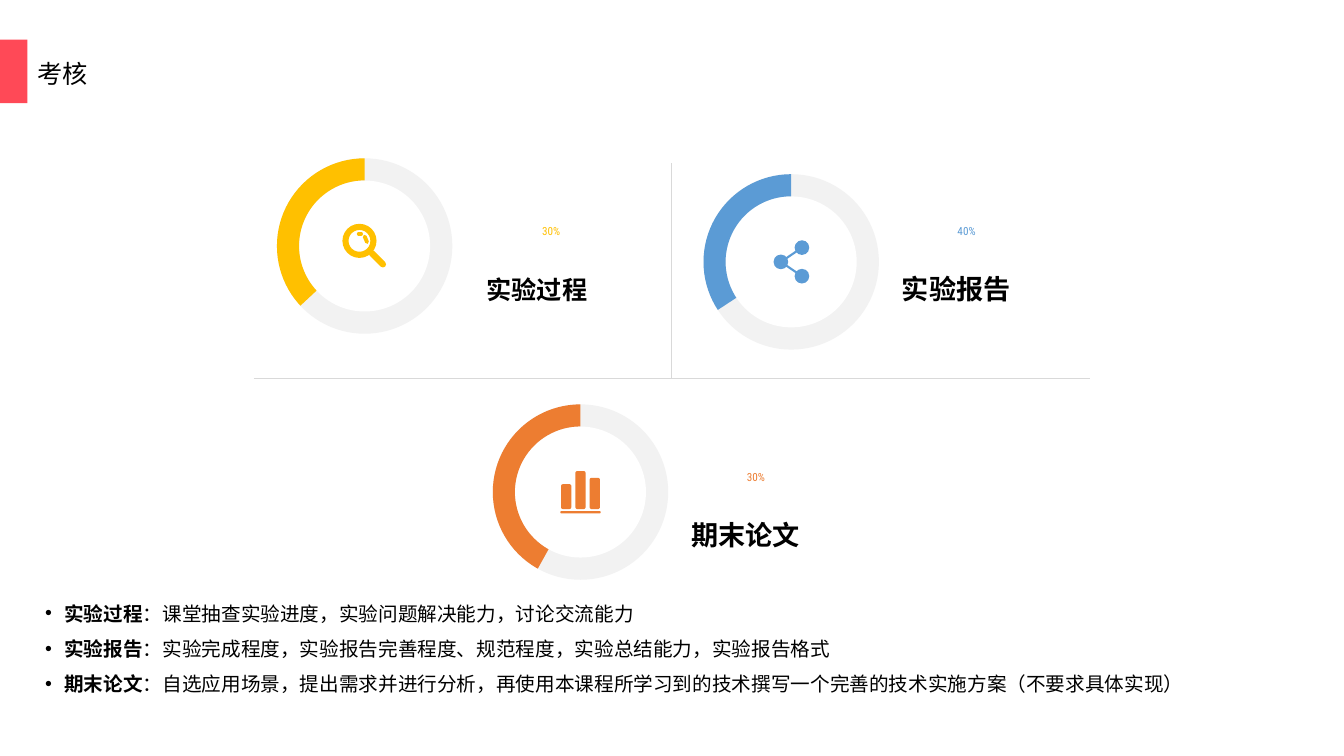
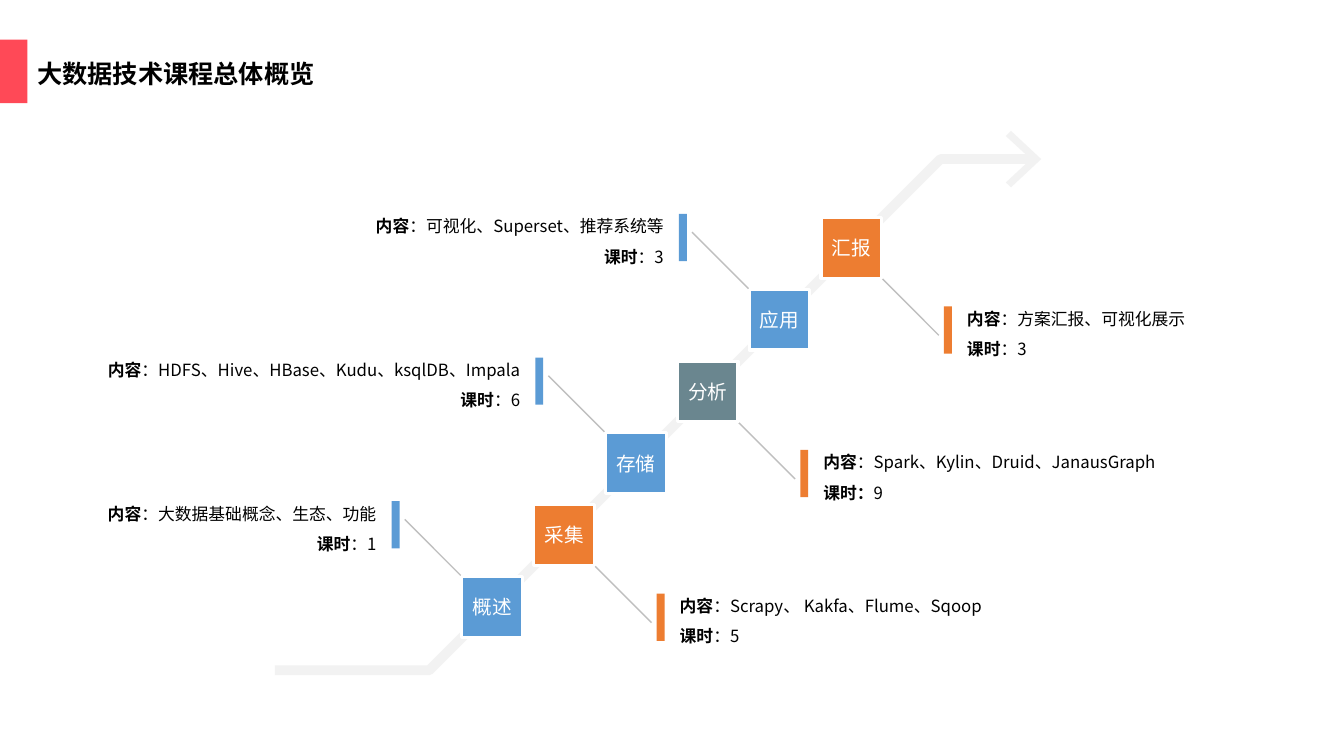
import pptx
import pptx.dml.color
import pptx.enum.shapes
import pptx.enum.text
import pptx.oxml.ns
import pptx.oxml.xmlchemy
import pptx.util

Cm = pptx.util.Cm
Pt = pptx.util.Pt
SHAPE = pptx.enum.shapes.MSO_SHAPE
ALIGN = pptx.enum.text.PP_ALIGN
ANCHOR = pptx.enum.text.MSO_ANCHOR
qn = pptx.oxml.ns.qn

COLOURS = {
    "accent": "FF4957", "text": "000000", "white": "FFFFFF", "track": "F2F2F2",
    "divider": "D9D9D9", "leader": "BFBFBF", "yellow": "FFC000",
    "blue": "5B9BD5", "orange": "ED7D31", "teal": "6A868F",
}
CJK_FONT = "Noto Sans CJK SC"
NUMBER_FONT = "Roboto Condensed"

RING, HOLE = 4.42, 3.3
SQUARE, STEP = 1.53, 1.81


def rgb(name):
    return pptx.dml.color.RGBColor.from_string(COLOURS[name])


def drawing_element(tag, **attributes):
    element = pptx.oxml.xmlchemy.OxmlElement(tag)
    for key, value in attributes.items():
        element.set(key, value)
    return element


def write(shape, paras, size, colour="text", bold=False, font=CJK_FONT, align=ALIGN.LEFT,
          anchor=ANCHOR.TOP, spacing=None, bullet=False, margins=(0.25, 0.13)):
    """Fill a shape with paragraphs; a (lead, rest) pair sets the lead in bold."""
    frame = shape.text_frame
    frame.word_wrap = True
    frame.auto_size = pptx.enum.text.MSO_AUTO_SIZE.NONE
    frame.vertical_anchor = anchor
    frame.margin_left = frame.margin_right = Cm(margins[0])
    frame.margin_top = frame.margin_bottom = Cm(margins[1])
    for index, content in enumerate(paras):
        para = frame.add_paragraph() if index else frame.paragraphs[0]
        para.alignment = align
        if spacing:
            para.line_spacing = spacing
        if bullet:
            properties = para._p.get_or_add_pPr()
            properties.set("marL", str(Cm(0.48)))
            properties.set("indent", str(-Cm(0.48)))
            properties.append(drawing_element("a:buFont", typeface="Arial"))
            properties.append(drawing_element("a:buChar", char="•"))
        parts = [(content, bold)] if isinstance(content, str) else zip(content, (True, False))
        for words, heavy in parts:
            span = para.add_run()
            span.text = words
            span.font.size = Pt(size)
            span.font.bold = heavy
            span.font.color.rgb = rgb(colour)
            span.font.name = font
            span._r.get_or_add_rPr().append(drawing_element("a:ea", typeface=font))


def add_text(page, left, top, width, height, paras, **style):
    box = page.shapes.add_textbox(Cm(left), Cm(top), Cm(width), Cm(height))
    write(box, paras, **style)


def paint(shape, fill=None, line=None, weight=1):
    shape.shadow.inherit = False
    if fill:
        shape.fill.solid()
        shape.fill.fore_color.rgb = rgb(fill)
    else:
        shape.fill.background()
    if line:
        shape.line.color.rgb = rgb(line)
        shape.line.width = Pt(weight)
    else:
        shape.line.fill.background()


def add_preset(page, kind, left, top, width, height, fill, **outline):
    shape = page.shapes.add_shape(kind, Cm(left), Cm(top), Cm(width), Cm(height))
    paint(shape, fill, **outline)
    return shape


def add_line(page, start, end, colour, weight=1, round_cap=False):
    line = page.shapes.add_connector(
        pptx.enum.shapes.MSO_CONNECTOR.STRAIGHT, *(Cm(value) for value in (*start, *end)))
    line.line.color.rgb = rgb(colour)
    line.line.width = Pt(weight)
    properties = line._element.spPr
    if round_cap:
        properties.find(qn("a:ln")).set("cap", "rnd")
    properties.append(drawing_element("a:effectLst"))


def add_outline(page, left, top, points, close, **style):
    corners = [(Cm(left + x), Cm(top + y)) for x, y in points]
    builder = page.shapes.build_freeform(*corners[0], scale=1.0)
    builder.add_line_segments(corners[1:], close=close)
    paint(builder.convert_to_shape(), **style)


def add_page(deck, title, bold):
    page = deck.slides.add_slide(deck.slide_layouts[5])
    add_preset(page, SHAPE.RECTANGLE, 0, 1, 0.69, 1.6, "accent")
    heading = page.shapes.title
    heading.left, heading.top, heading.width, heading.height = Cm(0.69), Cm(1), Cm(32), Cm(1.6)
    write(heading, [title], size=18, bold=bold, anchor=ANCHOR.MIDDLE, spacing=Pt(24))
    return page


def magnifier_icon(page, x, y, colour):
    lens = add_preset(page, SHAPE.DONUT, x - 0.56, y - 0.56, 0.86, 0.86, colour)
    lens.adjustments[0] = 0.18
    for x1, y1, x2, y2, weight in (
        (0.18, 0.18, 0.46, 0.46, 4.5),
        (-0.15, -0.31, -0.09, -0.31, 2.75),
        (0, -0.24, 0.06, -0.1, 2.75),
    ):
        add_line(page, (x + x1, y + y1), (x + x2, y + y2), colour, weight, round_cap=True)


def share_icon(page, x, y, colour):
    dot = 0.37
    hub, *ends = [(x - 0.26, y), (x + 0.27, y - 0.36), (x + 0.27, y + 0.36)]
    for end in ends:
        add_line(page, hub, end, colour, 1.5)
    for dot_x, dot_y in (hub, *ends):
        add_preset(page, SHAPE.OVAL, dot_x - dot / 2, dot_y - dot / 2, dot, dot, colour)


def bars_icon(page, x, y, colour):
    bottom = 0.43
    for index, bar_top in enumerate((-0.2, -0.53, -0.36)):
        bar = add_preset(page, SHAPE.ROUNDED_RECTANGLE, x - 0.49 + 0.36 * index, y + bar_top,
                         0.26, bottom - bar_top, colour)
        bar.adjustments[0] = 0.2
    base = add_preset(page, SHAPE.ROUNDED_RECTANGLE, x - 0.51, y + 0.48, 1.02, 0.06, colour)
    base.adjustments[0] = 0.5


def gauge(page, left, top, colour, sweep, icon, percent, label, label_at, label_size):
    """Ring with an arc of sweep degrees running anticlockwise from the top."""
    inset = (RING - HOLE) / 2
    add_preset(page, SHAPE.OVAL, left, top, RING, RING, "track")
    add_preset(page, SHAPE.OVAL, left + inset, top + inset, HOLE, HOLE, "white")
    arc = add_preset(page, SHAPE.BLOCK_ARC, left, top, RING, RING, colour)
    arc.adjustments[0] = 162
    arc.adjustments[1] = (sweep - 90) * 0.6
    arc.adjustments[2] = 0.126
    arc._element.spPr.find(qn("a:xfrm")).set("flipH", "1")
    icon(page, left + RING / 2, top + RING / 2, colour)
    label_left, label_top = left + label_at[0], top + label_at[1]
    add_text(page, label_left + 0.25, label_top - 1.8, 2.11, 1.6, [percent], size=8,
             colour=colour, font=NUMBER_FONT, align=ALIGN.RIGHT, anchor=ANCHOR.MIDDLE,
             margins=(0.25, 0.25))
    add_text(page, label_left, label_top, 4.7, 0.99, [label], size=label_size, bold=True,
             anchor=ANCHOR.BOTTOM)


def dividers(page, left, top, width, height):
    middle, bottom = left + width / 2, top + height
    add_line(page, (left, bottom), (left + width, bottom), "divider")
    add_line(page, (middle, top), (middle, bottom), "divider")


def assessment_page(deck):
    page = add_page(deck, "考核", bold=False)
    dividers(page, 6.4, 4.11, 21.06, 5.42)
    gauge(page, 6.98, 3.99, "yellow", 132.88, magnifier_icon, "30%", "实验过程", (5.03, 2.82), 18)
    gauge(page, 17.73, 4.39, "blue", 123.2, share_icon, "40%", "实验报告", (4.75, 2.44), 19.4)
    gauge(page, 12.42, 10.19, "orange", 150.84, bars_icon, "30%", "期末论文", (4.75, 2.84), 19.4)
    add_text(page, 0.89, 14.73, 31.8, 3.18, [
        ("实验过程", "：课堂抽查实验进度，实验问题解决能力，讨论交流能力"),
        ("实验报告", "：实验完成程度，实验报告完善程度、规范程度，实验总结能力，实验报告格式"),
        ("期末论文", "：自选应用场景，提出需求并进行分析，再使用本课程所学习到的技术"
                 "撰写一个完善的技术实施方案（不要求具体实现）"),
    ], size=14, spacing=1.5, bullet=True)


def course_step(page, left, top, on_right, name, fill, width, content, hours):
    """Square with a leader line, a marker bar and a note on one side."""
    def across(offset, extent=0):
        return left + (offset if on_right else SQUARE - offset - extent)

    def down(offset):
        return top + (offset if on_right else SQUARE - offset)

    add_line(page, (across(1.04), down(1.04)), (across(2.97), down(2.97)), "leader")
    square = add_preset(page, SHAPE.RECTANGLE, left, top, SQUARE, SQUARE, fill,
                        line="white", weight=2.25)
    write(square, [name], size=14, colour="white", align=ALIGN.CENTER, anchor=ANCHOR.MIDDLE,
          margins=(0, 0))
    bar_top = top + (2.24 if on_right else -1.9)
    add_preset(page, SHAPE.RECTANGLE, across(3.1, 0.2), bar_top, 0.2, 1.19,
               "orange" if on_right else "blue")
    add_text(page, across(3.43, width), bar_top - 0.33, width, 2.1, [content, hours], size=12,
             align=ALIGN.LEFT if on_right else ALIGN.RIGHT, spacing=1.5)


def staircase(page, left, top, steps):
    """Rising trail with an arrow tip and steps along it, notes on alternate sides."""
    add_outline(page, left, top, [(0, 13.59), (3.89, 13.59), (16.77, 0.71), (19.13, 0.71)],
                close=False, line="track", weight=7)
    add_outline(page, left, top, [(18.55, 0), (18.42, 0.13), (19.05, 0.71), (18.42, 1.3),
                                  (18.55, 1.42), (19.31, 0.71)], close=True, fill="track")
    for index, step in enumerate(steps):
        course_step(page, left + 4.71 + STEP * index, top + 11.23 - STEP * index,
                    index % 2 == 1, *step)


def overview_page(deck):
    page = add_page(deck, "大数据技术课程总体概览", bold=True)
    staircase(page, 6.93, 3.3, [
        ("概述", "blue", 7.7, ("内容", "：大数据基础概念、生态、功能"), ("课时", "：1")),
        ("采集", "orange", 9.17, ("内容", "：Scrapy、 Kakfa、Flume、Sqoop"), ("课时", "：5")),
        ("存储", "blue", 11.58, ("内容", "：HDFS、Hive、HBase、Kudu、ksqlDB、Impala"), ("课时", "：6")),
        ("分析", "teal", 8.94, ("内容", "：Spark、Kylin、Druid、JanausGraph"), ("课时：", "9")),
        ("应用", "blue", 8.2, ("内容", "：可视化、Superset、推荐系统等"), ("课时", "：3")),
        ("汇报", "orange", 6.81, ("内容", "：方案汇报、可视化展示"), ("课时", "：3")),
    ])


def main():
    deck = pptx.Presentation()
    deck.slide_width, deck.slide_height = Cm(33.87), Cm(19.05)
    assessment_page(deck)
    overview_page(deck)
    deck.save("out.pptx")


if __name__ == "__main__":
    main()
